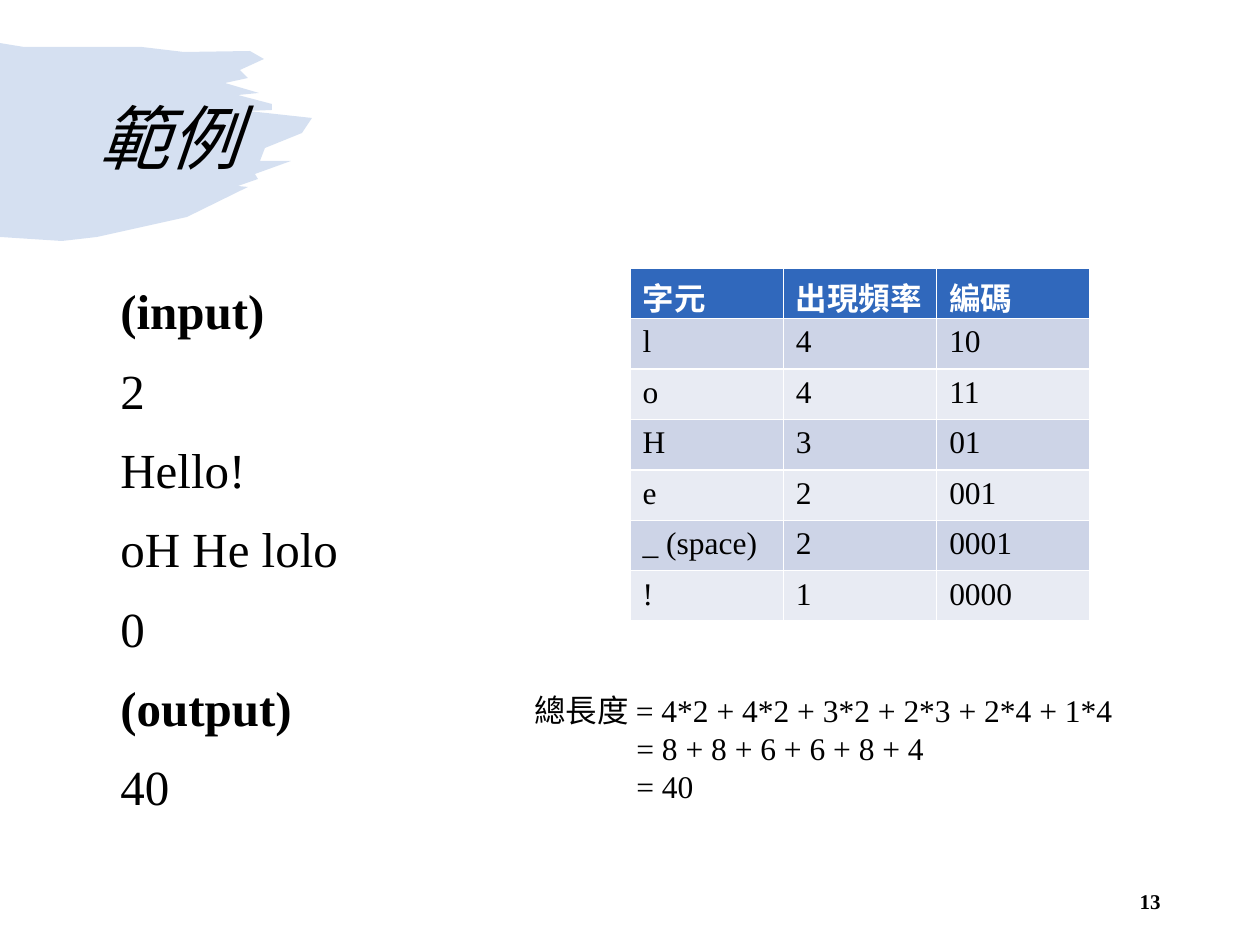
from lxml import etree
from pptx import Presentation
from pptx import util as u
from pptx.dml.color import RGBColor
from pptx.enum import text
from pptx.oxml import ns

PX = 914400 / 126
BLUE = RGBColor(0x30, 0x68, 0xBC)
BAND_DARK = RGBColor(0xCD, 0xD4, 0xE7)
BAND_LIGHT = RGBColor(0xE8, 0xEB, 0xF3)
BLACK = RGBColor(0, 0, 0)
WHITE = RGBColor(0xFF, 0xFF, 0xFF)
SERIF, SANS = "Times New Roman", "Roboto"

# Brush outline: top edge, ragged right end, bottom edge
BRUSH = [
    (0, 43), (24, 47), (142, 47), (184, 52), (250, 51), (264, 59),
    (240, 70), (248, 78), (225, 83), (259, 93), (238, 95), (272, 104),
    (272, 110), (248, 111), (312, 118), (302, 133), (265, 148), (260, 161),
    (291, 161), (255, 174), (258, 179), (238, 186), (248, 187), (187, 217),
    (97, 237), (62, 241), (0, 237),
]


def px(value):
    return u.Emu(round(value * PX))


class SlideBuilder:
    def __init__(self, slide):
        self.slide = slide

    def style(self, paragraph, size, color=BLACK, face=SERIF, bold=False, italic=False):
        font = paragraph.font
        font.name, font.size = face, u.Pt(size)
        font.bold, font.italic = bold, italic
        font.color.rgb = color

    def brush(self, points, fill, opacity):
        outline = self.slide.shapes.build_freeform(*points[0], scale=PX)
        outline.add_line_segments(points[1:], close=True)
        stroke = outline.convert_to_shape()
        stroke.shadow.inherit = False
        stroke.line.fill.background()
        stroke.fill.solid()
        stroke.fill.fore_color.rgb = fill
        color = stroke._element.spPr.find(".//" + ns.qn("a:srgbClr"))
        etree.SubElement(color, ns.qn("a:alpha")).set("val", str(opacity * 1000))

    def textbox(self, box, lines, size, anchor=text.MSO_ANCHOR.TOP,
                align=text.PP_ALIGN.LEFT, bold_lines=(), before=0, spacing=1.0,
                top=6, **look):
        frame = self.slide.shapes.add_textbox(*map(px, box)).text_frame
        frame.word_wrap = True
        frame.vertical_anchor = anchor
        frame.margin_top = px(top)
        frame.text = "\n".join(lines)
        for line, paragraph in zip(lines, frame.paragraphs):
            self.style(paragraph, size, bold=line in bold_lines, **look)
            paragraph.alignment = align
            paragraph.space_before = u.Pt(before)
            paragraph.line_spacing = spacing
        return frame

    def table(self, box, rows, size):
        grid = self.slide.shapes.add_table(len(rows), len(rows[0]), *map(px, box)).table
        for r, row in enumerate(rows):
            header = r == 0
            fill = BLUE if header else BAND_DARK if r % 2 else BAND_LIGHT
            for c, value in enumerate(row):
                cell = grid.cell(r, c)
                cell.text = value
                cell.fill.solid()
                cell.fill.fore_color.rgb = fill
                self.style(cell.text_frame.paragraphs[0], size,
                           WHITE if header else BLACK, bold=header)


def main():
    deck = Presentation()
    deck.slide_width, deck.slide_height = px(1260), px(945)
    page = SlideBuilder(deck.slides.add_slide(deck.slide_layouts[6]))

    # Title on its brush stroke
    page.brush(BRUSH, BLUE, opacity=20)
    page.textbox((87, 50, 1086, 183), ["範例"], 40, text.MSO_ANCHOR.MIDDLE,
                 spacing=0.9, face=SANS, italic=True)

    # Sample input and output
    sample = ["(input)", "2", "Hello!", "oH He lolo", "0", "(output)", "40"]
    page.textbox((108, 268, 672, 633), sample, 28, before=10, spacing=1.05,
                 top=10, bold_lines=("(input)", "(output)"))

    # Code table
    page.table((630, 268, 460, 353), [
        ("字元", "出現頻率", "編碼"),
        ("l", "4", "10"),
        ("o", "4", "11"),
        ("H", "3", "01"),
        ("e", "2", "001"),
        ("_ (space)", "2", "0001"),
        ("!", "1", "0000"),
    ], 18)

    # Page number
    page.textbox((890, 876, 283, 50), ["13"], 12, text.MSO_ANCHOR.MIDDLE,
                 text.PP_ALIGN.RIGHT, bold_lines=("13",))

    # Total length, later lines indented to the equals sign
    total = page.textbox((522, 685, 630, 127), [
        "總長度 = 4*2 + 4*2 + 3*2 + 2*3 + 2*4 + 1*4",
        "= 8 + 8 + 6 + 6 + 8 + 4",
        "= 40",
    ], 18)
    for step in total.paragraphs[1:]:
        step._p.get_or_add_pPr().set("marL", str(px(102)))

    deck.save("out.pptx")


if __name__ == "__main__":
    main()
